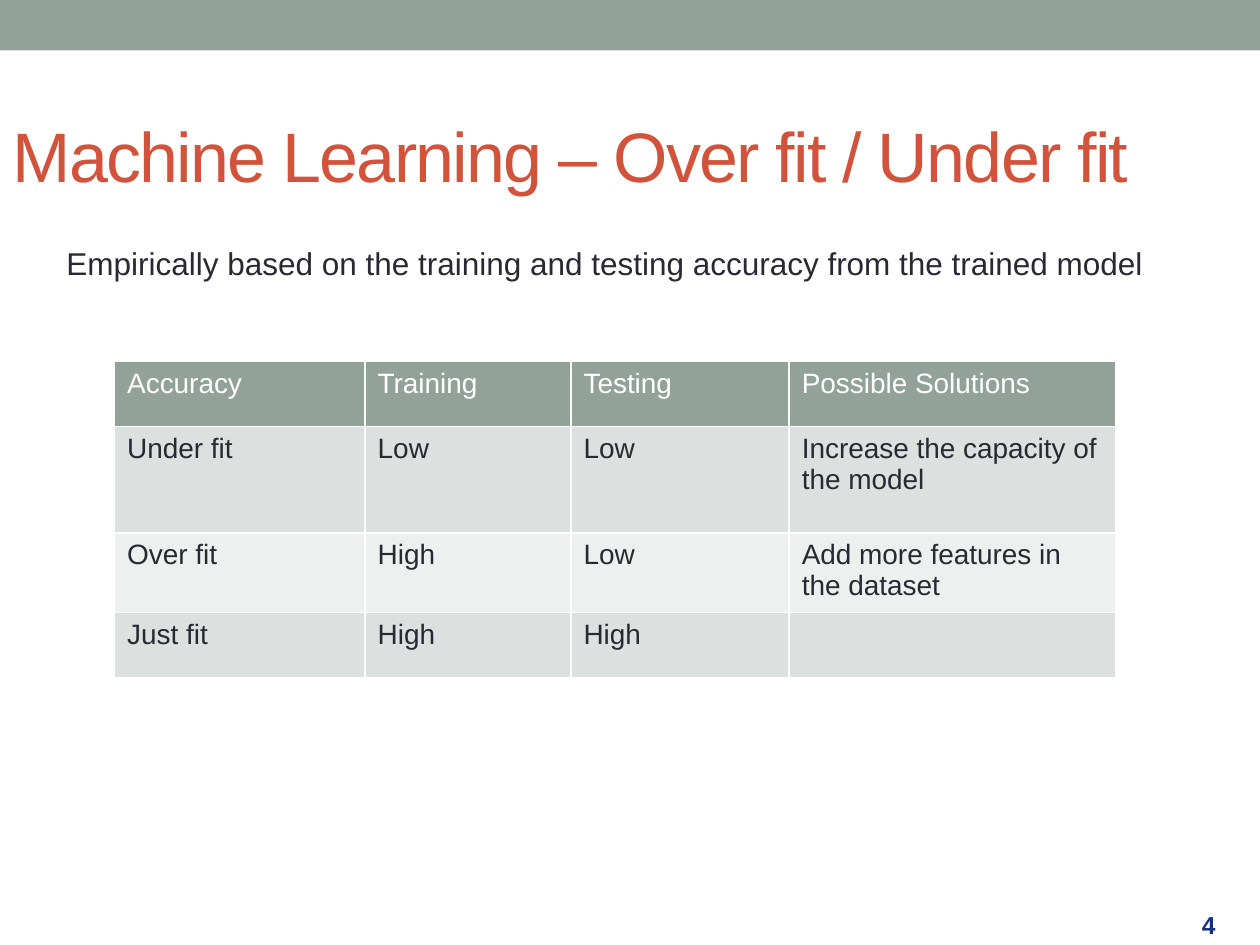
from lxml import etree
from pptx import Presentation
from pptx.dml.color import RGBColor
from pptx.enum.shapes import MSO_SHAPE
from pptx.enum.text import MSO_ANCHOR, MSO_AUTO_SIZE, PP_ALIGN
from pptx.oxml.ns import qn
from pptx.util import Cm, Pt

RECTANGLE = MSO_SHAPE.RECTANGLE
MIDDLE, TOP = MSO_ANCHOR.MIDDLE, MSO_ANCHOR.TOP
NO_AUTOFIT = MSO_AUTO_SIZE.NONE
LEFT = PP_ALIGN.LEFT
TITLE_ONLY = 5

COLORS = {
    "sage": "93A299",
    "band_dark": "DCE0DE",
    "band_light": "EEF0EF",
    "title": "D2533C",
    "text": "292934",
    "number": "152E82",
    "white": "FFFFFF",
}


def write(text_frame, text, color, size, anchor=TOP, bold=False):
    """Put one left-aligned Arial paragraph into a text frame."""
    text_frame.word_wrap = True
    text_frame.vertical_anchor = anchor
    paragraph = text_frame.paragraphs[0]
    paragraph.alignment = LEFT
    run = paragraph.add_run()
    run.text = text
    font_format = {"name": "Arial", "size": Pt(size), "bold": bold}
    for attribute, value in font_format.items():
        setattr(run.font, attribute, value)
    run.font.color.rgb = RGBColor.from_string(COLORS[color])
    return run


def add_borders(cell, color):
    """Draw a 1 pt line on every side of a table cell."""
    properties = cell._tc.get_or_add_tcPr()
    for side in ("a:lnL", "a:lnR", "a:lnT", "a:lnB"):
        line = etree.SubElement(properties, qn(side), w=str(Pt(1)))
        fill = etree.SubElement(line, qn("a:solidFill"))
        etree.SubElement(fill, qn("a:srgbClr"), val=COLORS[color])


presentation = Presentation()
presentation.slide_width = Cm(25.4)
presentation.slide_height = Cm(19.05)
slide = presentation.slides.add_slide(presentation.slide_layouts[TITLE_ONLY])

# Top band
band = slide.shapes.add_shape(RECTANGLE, 0, 0, presentation.slide_width, Cm(1.02))
band.shadow.inherit = False
band.fill.solid()
band.fill.fore_color.rgb = RGBColor.from_string(COLORS["sage"])
band.line.fill.background()

# Title
title = slide.shapes.title
title_place = {"left": 0, "top": Cm(1.73), "width": Cm(23.29), "height": Cm(2.77)}
for attribute, value in title_place.items():
    setattr(title, attribute, value)
title.text_frame.auto_size = NO_AUTOFIT
title_run = write(title.text_frame, "Machine Learning – Over fit / Under fit", "title", 40, MIDDLE)
title_run.font._element.set("spc", "-100")

# Introduction and slide number
introduction = slide.shapes.add_textbox(Cm(1.09), Cm(4.8), Cm(24), Cm(1.2))
write(
    introduction.text_frame,
    "Empirically based on the training and testing accuracy from the trained model",
    "text",
    18,
)
slide_number = slide.shapes.add_textbox(Cm(23.98), Cm(18.14), Cm(1.4), Cm(0.99))
write(slide_number.text_frame, "4", "number", 14, MIDDLE, bold=True)

# Accuracy table
rows = [
    ["Accuracy", "Training", "Testing", "Possible Solutions"],
    ["Under fit", "Low", "Low", "Increase the capacity of the model"],
    ["Over fit", "High", "Low", "Add more features in the dataset"],
    ["Just fit", "High", "High", ""],
]
column_widths = [5.05, 4.15, 4.4, 6.59]
row_heights = [1.31, 2.14, 1.51, 1.31]
row_fills = ["sage", "band_dark", "band_light", "band_dark"]

table = slide.shapes.add_table(
    len(rows), len(column_widths), Cm(2.31), Cm(7.29),
    Cm(sum(column_widths)), Cm(sum(row_heights)),
).table
for column, width in zip(table.columns, column_widths):
    column.width = Cm(width)
for row, height, texts, fill in zip(table.rows, row_heights, rows, row_fills):
    row.height = Cm(height)
    text_color = "white" if fill == "sage" else "text"
    for cell, text in zip(row.cells, texts):
        add_borders(cell, "white")
        cell.fill.solid()
        cell.fill.fore_color.rgb = RGBColor.from_string(COLORS[fill])
        if text:
            write(cell.text_frame, text, text_color, 16)

presentation.save("out.pptx")
